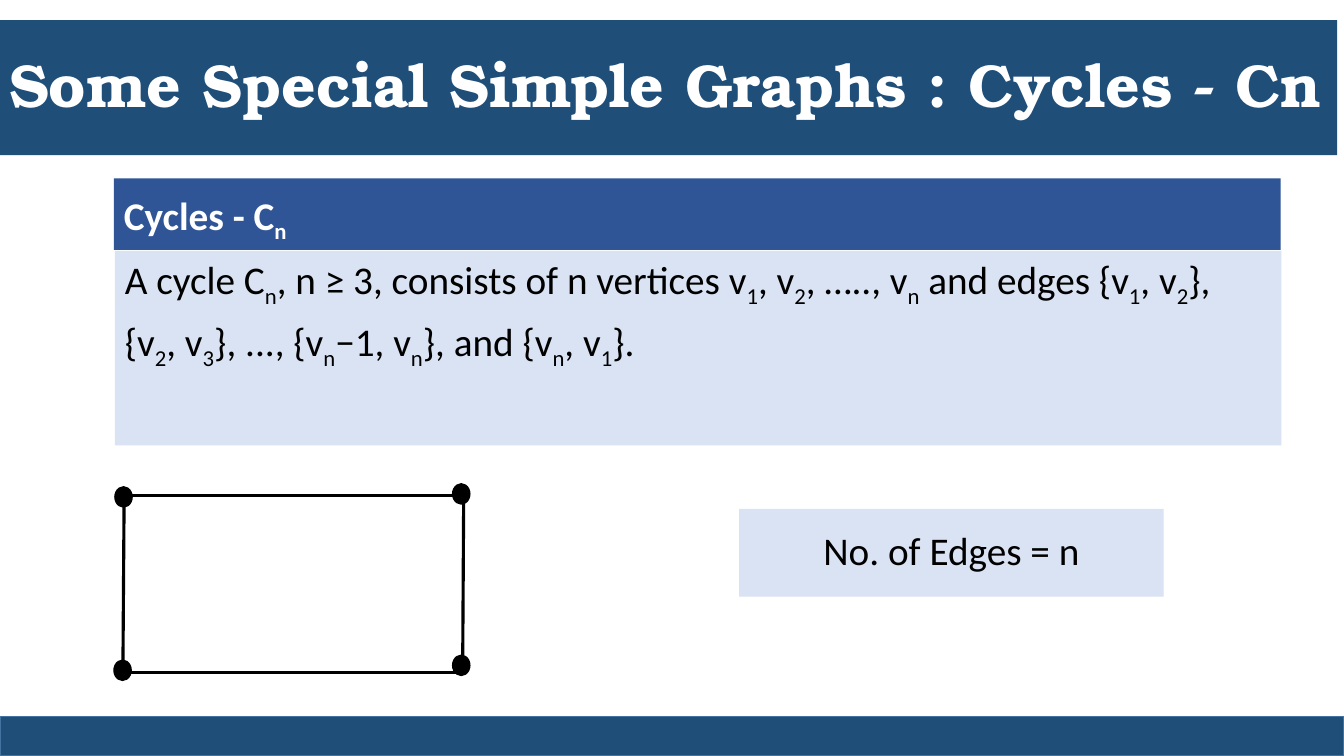
"""Build a slide that defines cycle graphs and draws a four-vertex cycle."""
from dataclasses import dataclass
from typing import Optional

import pptx
import pptx.dml.color
import pptx.enum.shapes
import pptx.enum.text
import pptx.oxml.ns
import pptx.util
from lxml import etree

SHAPE = pptx.enum.shapes.MSO_SHAPE
ALIGN = pptx.enum.text.PP_ALIGN
ANCHOR = pptx.enum.text.MSO_ANCHOR
COLORS = {
    "navy": "1F4E79", "rim": "43739E", "blue": "2F5597",
    "pale": "DAE3F3", "white": "FFFFFF", "black": "000000",
}
WIDTH, HEIGHT = pptx.util.Inches(13.33), pptx.util.Inches(7.5)


@dataclass
class Panel:
    x: float
    y: float
    w: float
    h: float
    fill: str
    line: Optional[str] = None
    kind: int = SHAPE.RECTANGLE


@dataclass
class Edge:
    x1: float
    y1: float
    x2: float
    y2: float


TITLE = Panel(-0.5, 2.67, 100, 17.87, "navy")
FOOTER = Panel(0, 94.8, 100, 5.2, "navy", "rim")
HEADING = Panel(8.48, 23.6, 86.8, 9.47, "blue")
DEFINITION = Panel(8.55, 33.2, 86.8, 25.73, "pale")
EDGE_COUNT = Panel(55, 67.33, 31.58, 11.6, "pale")
VERTICES = [
    Panel(x, y, 1.28, 2.67, "black", "black", SHAPE.OVAL)
    for x, y in [(8.55, 64.4), (33.68, 86.67), (33.68, 64), (8.48, 87.33)]
]
EDGES = [
    Edge(9.23, 65.6, 34.13, 65.6),
    Edge(9.23, 67.07, 9.15, 87.33),
    Edge(34.5, 65.73, 34.43, 87.07),
    Edge(9.15, 88.93, 34.13, 88.93),
]
DEFINITION_LINES = [
    "A cycle C_n, n ≥ 3, consists of n vertices v_1, v_2, ….., v_n and edges {v_1, v_2},",
    "{v_2, v_3}, ..., {v_n−1, v_n}, and {v_n, v_1}.",
]


def across(share: float) -> int:
    """Turn a percentage of the slide width into a length."""
    return round(WIDTH * share / 100)


def down(share: float) -> int:
    """Turn a percentage of the slide height into a length."""
    return round(HEIGHT * share / 100)


def rgb(name: str) -> pptx.dml.color.RGBColor:
    """Look up a named colour."""
    return pptx.dml.color.RGBColor.from_string(COLORS[name])


def add_panel(slide, panel: Panel):
    """Draw a filled shape and return it."""
    sp = slide.shapes.add_shape(panel.kind, across(panel.x), down(panel.y),
                                across(panel.w), down(panel.h))
    sp.shadow.inherit = False
    sp.fill.solid()
    sp.fill.fore_color.rgb = rgb(panel.fill)
    if panel.line:
        sp.line.color.rgb = rgb(panel.line)
        sp.line.width = pptx.util.Pt(1)
    else:
        sp.line.fill.background()
    return sp


def add_edge(slide, edge: Edge) -> None:
    """Draw one straight black edge of the cycle."""
    cxn = slide.shapes.add_connector(
        pptx.enum.shapes.MSO_CONNECTOR.STRAIGHT,
        across(edge.x1), down(edge.y1), across(edge.x2), down(edge.y2))
    cxn.line.color.rgb = rgb("black")
    cxn.line.width = pptx.util.Pt(2.25)
    etree.SubElement(cxn._element.spPr, pptx.oxml.ns.qn("a:effectLst"))


def add_run(p, text: str, *, subscript: bool = False) -> None:
    """Append a run, lowered if it is a subscript."""
    if text:
        r = p.add_run()
        r.text = text
        if subscript:
            r.font._element.set("baseline", "-25000")


def write(sp, *lines: str, size: float = 28, font: str = "Calibri",
          color: str = "black", bold: bool = False, align=ALIGN.LEFT,
          anchor=ANCHOR.TOP, spacing: float = 0.9) -> None:
    """Fill a shape with paragraphs; an underscore lowers the next character."""
    tf = sp.text_frame
    tf.word_wrap = True
    tf.vertical_anchor = anchor
    for i, line in enumerate(lines):
        p = tf.add_paragraph() if i else tf.paragraphs[0]
        p.alignment = align
        p.line_spacing = spacing
        p.space_before = pptx.util.Pt(10 if i else 0)
        start, *rest = line.split("_")
        add_run(p, start)
        for part in rest:
            add_run(p, part[0], subscript=True)
            add_run(p, part[1:])
        for r in p.runs:
            r.font.size = pptx.util.Pt(size)
            r.font.name = font
            r.font.bold = bold
            r.font.color.rgb = rgb(color)


def main() -> None:
    """Build and save the slide."""
    prs = pptx.Presentation()
    prs.slide_width, prs.slide_height = WIDTH, HEIGHT
    slide = prs.slides.add_slide(prs.slide_layouts[6])
    write(add_panel(slide, TITLE), "Some Special Simple Graphs : Cycles - Cn",
          size=43.2, font="TeX Gyre Bonum", color="white", bold=True,
          align=ALIGN.CENTER, anchor=ANCHOR.MIDDLE)
    add_panel(slide, FOOTER)
    write(add_panel(slide, HEADING), "Cycles - C_n",
          color="white", bold=True, spacing=1.14)
    write(add_panel(slide, DEFINITION), *DEFINITION_LINES)
    for vertex in VERTICES:
        add_panel(slide, vertex)
    for edge in EDGES:
        add_edge(slide, edge)
    write(add_panel(slide, EDGE_COUNT), "No. of Edges = n",
          align=ALIGN.CENTER, anchor=ANCHOR.MIDDLE)
    prs.save("out.pptx")


if __name__ == "__main__":
    main()
